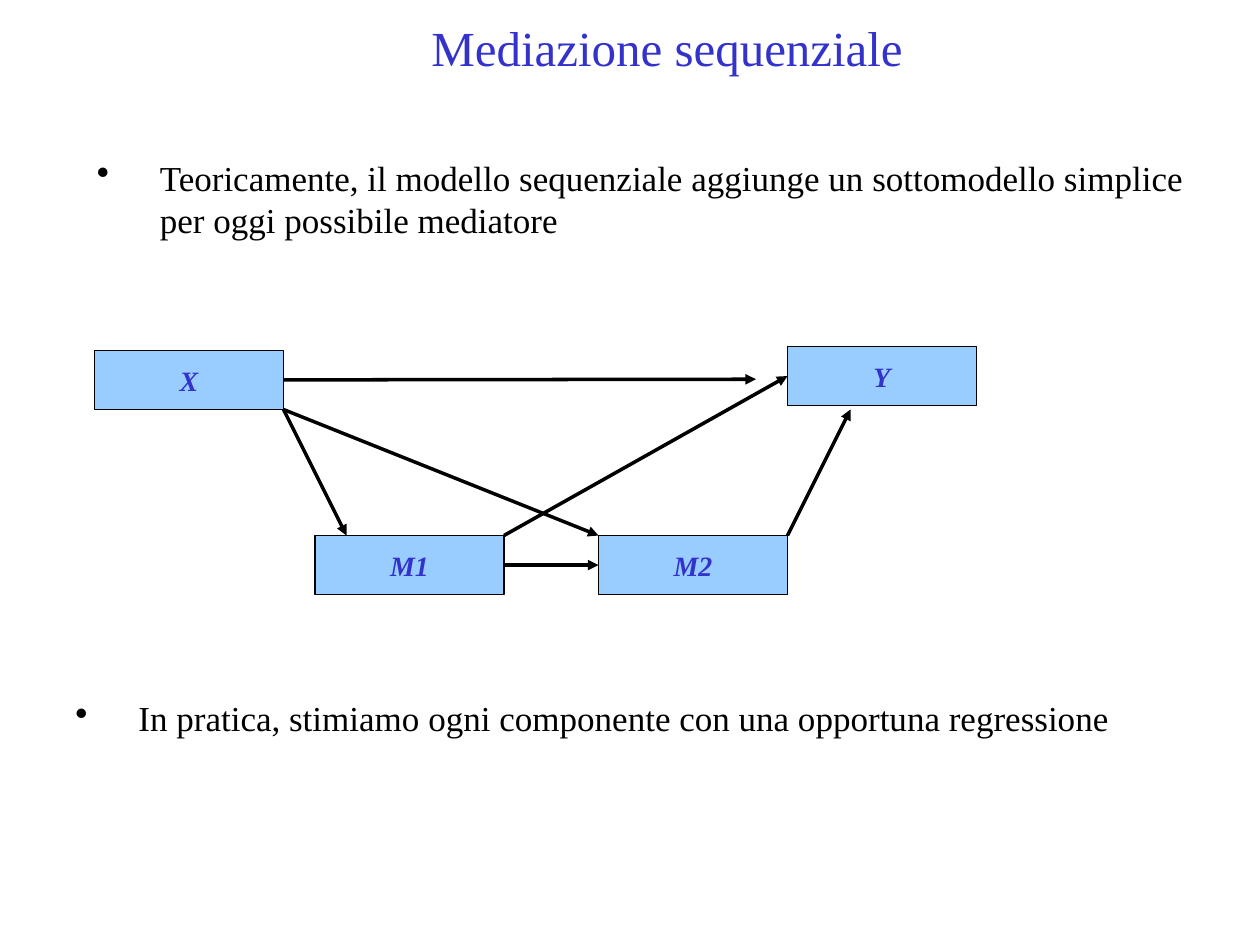
from lxml import etree
from pptx import Presentation, util as u
from pptx.dml.color import RGBColor
from pptx.enum import shapes, text
from pptx.oxml.ns import qn

COLORS = {"ink": "000000", "blue": "3333CC", "sky": "99CCFF"}
FONT = "Times New Roman"
BOX_W, BOX_H = 1.5, 0.47
LEFT, RIGHT = 1, 3


def tint(name):
    return RGBColor.from_string(COLORS[name])


class Pen:
    """Holds the text styles and the current slide."""

    styles = {
        "title": {"size": u.Pt(28), "color": "blue"},
        "body": {"size": u.Pt(20), "color": "ink"},
        "node": {"size": u.Pt(16), "color": "blue", "bold": True, "italic": True},
    }

    def __init__(self, slide):
        self.slide = slide

    def label(self, shape, words, style, **frame):
        """Put one styled paragraph in a shape and return it."""
        for key, val in frame.items():
            setattr(shape.text_frame, key, val)
        para = shape.text_frame.paragraphs[0]
        run = para.add_run()
        run.text = words
        run.font.name = FONT
        for key, val in self.styles[style].items():
            if key == "color":
                run.font.color.rgb = tint(val)
            else:
                setattr(run.font, key, val)
        return para

    def area(self, *place):
        return self.slide.shapes.add_textbox(*map(u.Inches, place))

    def title(self, words, *place):
        para = self.label(self.area(*place), words, "title", word_wrap=True,
                          vertical_anchor=text.MSO_ANCHOR.MIDDLE)
        para.alignment = text.PP_ALIGN.CENTER

    def bullet(self, words, *place):
        para = self.label(self.area(*place), words, "body", word_wrap=True,
                          auto_size=text.MSO_AUTO_SIZE.SHAPE_TO_FIT_TEXT)
        para.space_before = para.space_after = u.Pt(24.9)
        props = para._p.get_or_add_pPr()
        props.set("marL", str(u.Inches(0.5)))
        props.set("indent", str(u.Inches(-0.5)))
        etree.SubElement(props, qn("a:buSzPct"), val="103000")
        etree.SubElement(props, qn("a:buChar"), char="•")

    def node(self, words, left, top):
        box = self.slide.shapes.add_shape(
            shapes.MSO_SHAPE.RECTANGLE,
            *map(u.Inches, (left, top, BOX_W, BOX_H)))
        box.shadow.inherit = False
        box.fill.solid()
        box.fill.fore_color.rgb = tint("sky")
        box.line.color.rgb = tint("ink")
        box.line.width = u.Pt(0)
        para = self.label(box, words, "node", word_wrap=False,
                          vertical_anchor=text.MSO_ANCHOR.MIDDLE)
        para.alignment = text.PP_ALIGN.CENTER
        return box

    def arrow(self, start, end, source=None, target=None):
        """Draw an arrow; source and target are (box, side) joints."""
        line = self.slide.shapes.add_connector(
            shapes.MSO_CONNECTOR.STRAIGHT, *map(u.Inches, start + end))
        line.line.color.rgb = tint("ink")
        line.line.width = u.Pt(0)
        props = line._element.spPr
        etree.SubElement(props.find(qn("a:ln")), qn("a:tailEnd"),
                         type="triangle")
        etree.SubElement(props, qn("a:effectLst"))
        if source:
            line.begin_connect(*source)
        if target:
            line.end_connect(*target)


def main():
    deck = Presentation()
    deck.slide_width, deck.slide_height = u.Inches(10), u.Inches(7.5)
    pen = Pen(deck.slides.add_slide(deck.slide_layouts[6]))

    # Paths from X to the mediators
    for end in ((2.75, 4.25), (4.75, 4.25)):
        pen.arrow((2.25, 3.25), end)

    # Title and theory
    pen.bullet("Teoricamente, il modello sequenziale aggiunge un sottomodello "
               "simplice per oggi possibile mediatore", 0.67, 1.19, 8.92, 0.77)
    pen.title("Mediazione sequenziale", 0.92, 0, 8.75, 0.75)

    # Variables
    cause = pen.node("X", 0.75, 2.78)
    effect = pen.node("Y", 6.25, 2.75)
    first = pen.node("M1", 2.5, 4.25)
    second = pen.node("M2", 4.75, 4.25)

    # Remaining paths
    pen.arrow((4, 4.25), (6.25, 3), target=(effect, LEFT))
    pen.arrow((2.25, 3), (6, 3.01), source=(cause, RIGHT))
    pen.arrow((4, 4.5), (4.75, 4.5), (first, RIGHT), (second, LEFT))
    pen.arrow((6.25, 4.25), (6.75, 3.25))

    # Practice
    pen.bullet("In pratica, stimiamo ogni componente con una opportuna "
               "regressione", 0.5, 5.48, 8.92, 0.44)

    deck.save("out.pptx")


if __name__ == "__main__":
    main()
